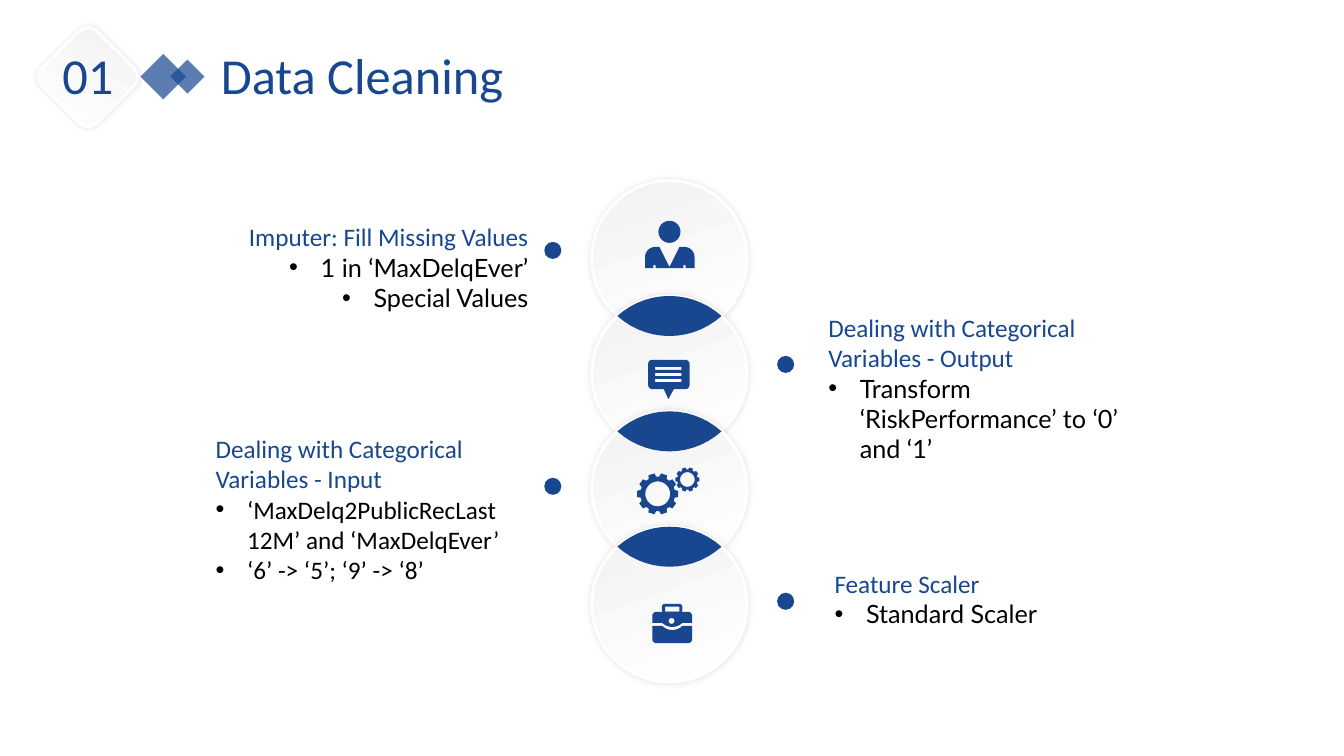
from math import acos, cos, degrees, radians, sin

from lxml.etree import SubElement
from pptx import Presentation
from pptx.dml.color import RGBColor
from pptx.enum.shapes import MSO_SHAPE as SHAPE
from pptx.enum.text import MSO_ANCHOR as ANCHOR, MSO_AUTO_SIZE as AUTO_SIZE, PP_ALIGN as ALIGN
from pptx.oxml.ns import qn
from pptx.util import Pt

BLUE, BLACK, WHITE, PALE = "18478F", "000000", "FFFFFF", "F2F2F2"

# Chain of overlapping discs
CHAIN_X, CHAIN_TOP, RADIUS, STEP = 478.2, 184.5, 55.5, 82.4

# Heading, its bullets, box, alignment, bullet font, dot position
NOTES = [
    ("Imputer: Fill Missing Values", ["1 in ‘MaxDelqEver’", "Special Values"],
     (63.4, 154.8, 321.1, 72.7), ALIGN.RIGHT, "Lato", (388.8, 172.8)),
    ("Dealing with Categorical Variables - Output",
     ["Transform ‘RiskPerformance’ to ‘0’ and ‘1’"],
     (584.6, 219.6, 252, 94.3), ALIGN.LEFT, "Lato", (555.1, 254.2)),
    ("Dealing with Categorical Variables - Input",
     ["‘MaxDelq2PublicRecLast12M’ and ‘MaxDelqEver’", "‘6’ -> ‘5’; ‘9’ -> ‘8’"],
     (146.9, 306, 221, 116.6), ALIGN.LEFT, "Calibri", (388.8, 341.3)),
    ("Feature Scaler", ["Standard Scaler"],
     (589, 402.5, 215.3, 51.1), ALIGN.LEFT, "Lato", (555.1, 423.4)),
]


def rgb(hex_code):
    return RGBColor.from_string(hex_code)


# Outlines as lists of points
def arc(x, y, radius, start, end):
    steps = max(2, round(abs(end - start) / 6))
    angles = [radians(start + (end - start) * i / steps) for i in range(steps + 1)]
    return [(x + radius * cos(a), y + radius * sin(a)) for a in angles]


def box(left, top, right, bottom, r=0):
    if not r:
        return [(left, top), (right, top), (right, bottom), (left, bottom)]
    return (arc(left + r, top + r, r, 180, 270) + arc(right - r, top + r, r, 270, 360)
            + arc(right - r, bottom - r, r, 0, 90) + arc(left + r, bottom - r, r, 90, 180))


# Painted elements
def paint(shape, color, alpha=None):
    shape.shadow.inherit = False
    shape.fill.solid()
    shape.fill.fore_color.rgb = rgb(color)
    shape.line.fill.background()
    if alpha:
        srgb = shape.fill._xPr.find(".//" + qn("a:srgbClr"))
        SubElement(srgb, qn("a:alpha")).set("val", str(alpha * 1000))


def add_outline(slide, *contours):
    first, *holes = contours
    to_emu = lambda points: [(Pt(x), Pt(y)) for x, y in points]
    builder = slide.shapes.build_freeform(Pt(first[0][0]), Pt(first[0][1]))
    builder.add_line_segments(to_emu(first[1:]), close=True)
    for hole in map(to_emu, holes):
        builder.move_to(*hole[0])
        builder.add_line_segments(hole[1:], close=True)
    paint(builder.convert_to_shape(), BLUE)


def add_preset(slide, kind, x, y, size, rotation=0):
    """Add a square preset shape centred on x, y."""
    shape = slide.shapes.add_shape(kind, Pt(x - size / 2), Pt(y - size / 2), Pt(size), Pt(size))
    shape.rotation = rotation
    return shape


def add_raised(slide, kind, x, y, size, rotation=0):
    shape = add_preset(slide, kind, x, y, size, rotation)
    shape.fill.gradient()
    shape.fill.gradient_angle = 110
    for stop, color in zip(shape.fill.gradient_stops, (WHITE, PALE)):
        stop.color.rgb = rgb(color)
    shape.line.color.rgb = rgb(WHITE)
    shape.line.width = Pt(2)
    shape.shadow.inherit = False
    effects = shape._element.spPr.find(qn("a:effectLst"))
    shadow = SubElement(effects, qn("a:outerShdw"), blurRad=str(Pt(5)), dist="0",
                        algn="ctr", rotWithShape="0")
    color = SubElement(shadow, qn("a:srgbClr"), val=BLACK)
    SubElement(color, qn("a:alpha"), val="11000")


# Text
def add_run(paragraph, text, size, color, font="Calibri"):
    run = paragraph.add_run()
    run.text = text
    run.font.size = Pt(size)
    run.font.name = font
    run.font.color.rgb = rgb(color)


def add_bullet(paragraph):
    props = paragraph._p.get_or_add_pPr()
    props.set("marL", str(Pt(22.5)))
    props.set("indent", str(-Pt(22.5)))
    SubElement(props, qn("a:buFont"), typeface="Arial")
    SubElement(props, qn("a:buChar"), char="•")


def add_text_box(slide, left, top, width, height, wrap=True):
    frame = slide.shapes.add_textbox(Pt(left), Pt(top), Pt(width), Pt(height)).text_frame
    frame.word_wrap = wrap
    return frame


def add_note(slide, heading, bullets, place, align, font, dot):
    frame = add_text_box(slide, *place)
    lead = frame.paragraphs[0]
    lead.alignment = align
    add_run(lead, heading, 18, BLUE)
    for text in bullets:
        item = frame.add_paragraph()
        item.alignment = align
        add_bullet(item)
        add_run(item, text, 18, BLACK, font)
    paint(add_preset(slide, SHAPE.OVAL, dot[0] + 6.1, dot[1] + 6.1, 12.2), BLUE)


def add_header(slide):
    for x, size in ((116.6, 23), (133.9, 17.3)):
        paint(add_preset(slide, SHAPE.RECTANGLE, x, 54.7, size, 225), BLUE, alpha=70)
    title = slide.shapes.title
    title.left, title.top, title.width, title.height = Pt(150.5), Pt(28.1), Pt(329.8), Pt(51.1)
    frame = title.text_frame
    frame.auto_size = AUTO_SIZE.NONE
    frame.vertical_anchor = ANCHOR.TOP
    heading = frame.paragraphs[0]
    heading.alignment = ALIGN.LEFT
    heading.line_spacing = 1.0
    heading.space_before = Pt(0)
    add_run(heading, "Data Cleaning", 36, BLUE)
    add_raised(slide, SHAPE.ROUNDED_RECTANGLE, 63, 55.1, 55.4, 45)
    number = add_text_box(slide, 37.4, 28.1, 51.1, 51.1, wrap=False)
    add_run(number.paragraphs[0], "01", 36, BLUE)


def add_chain(slide):
    centers = [CHAIN_TOP + STEP * i for i in range(4)]
    for y in centers:
        add_raised(slide, SHAPE.OVAL, CHAIN_X, y, 2 * RADIUS)
    half = degrees(acos(STEP / 2 / RADIUS))
    for upper, lower in zip(centers, centers[1:]):
        add_outline(slide, arc(CHAIN_X, lower, RADIUS, 270 - half, 270 + half)
                    + arc(CHAIN_X, upper, RADIUS, 90 - half, 90 + half))


# Icons
def add_person(slide):
    paint(add_preset(slide, SHAPE.OVAL, 478.2, 165.6, 15.8), BLUE)
    add_outline(slide, arc(468, 183.6, 7.2, 180, 270)
                + [(471, 176.4), (478.2, 190.8), (485.4, 176.4)]
                + arc(488.9, 183.6, 7.2, 270, 360)
                + [(496.1, 191.5), (489.8, 191.5), (489.8, 189.4), (488.2, 189.4),
                   (488.2, 191.5), (468.4, 191.5), (468.4, 189.4), (466.8, 189.4),
                   (466.8, 191.5), (460.8, 191.5)])


def add_message(slide):
    bars = [box(468, y, 486.7, y + 2.2) for y in (262.1, 266.4, 270.7)]
    add_outline(slide, box(463, 257, 492.5, 278, 3), *bars)
    add_outline(slide, [(473.8, 277.2), (481.7, 277.2), (477.4, 285.1)])


def add_gear(slide, x, y, radius):
    corners = ((-13, 0.84), (-8.5, 1), (8.5, 1), (13, 0.84))
    teeth = [(x + radius * k * cos(a), y + radius * k * sin(a))
             for tooth in range(10) for offset, k in corners
             for a in [radians(36 * tooth + offset)]]
    add_outline(slide, teeth, arc(x, y, radius * 0.6, 0, 360))


def add_briefcase(slide):
    add_outline(slide, box(472.8, 431.3, 487.4, 438, 2.4), box(475.2, 433.4, 485.3, 437))
    add_outline(slide, arc(468.9, 440, 3, 180, 270) + arc(491.4, 440, 3, 270, 360)
                + [(494.4, 445)] + arc(480.2, 437.4, 10.4, 46, 134) + [(465.9, 445)],
                arc(479.7, 443.5, 2.1, 0, 360))
    add_outline(slide, [(465.9, 447.1)] + arc(480.2, 439.6, 10.4, 134, 46) + [(494.4, 447.1)]
                + arc(491.4, 456.4, 3, 0, 90) + arc(468.9, 456.4, 3, 90, 180))


def main():
    deck = Presentation()
    deck.slide_width, deck.slide_height = Pt(960), Pt(540)
    slide = deck.slides.add_slide(deck.slide_layouts[5])
    add_chain(slide)
    add_person(slide)
    add_message(slide)
    add_gear(slide, 469.8, 352.8, 14.8)
    add_gear(slide, 491, 342.5, 8.7)
    add_briefcase(slide)
    for note in NOTES:
        add_note(slide, *note)
    add_header(slide)
    deck.save("out.pptx")


if __name__ == "__main__":
    main()
